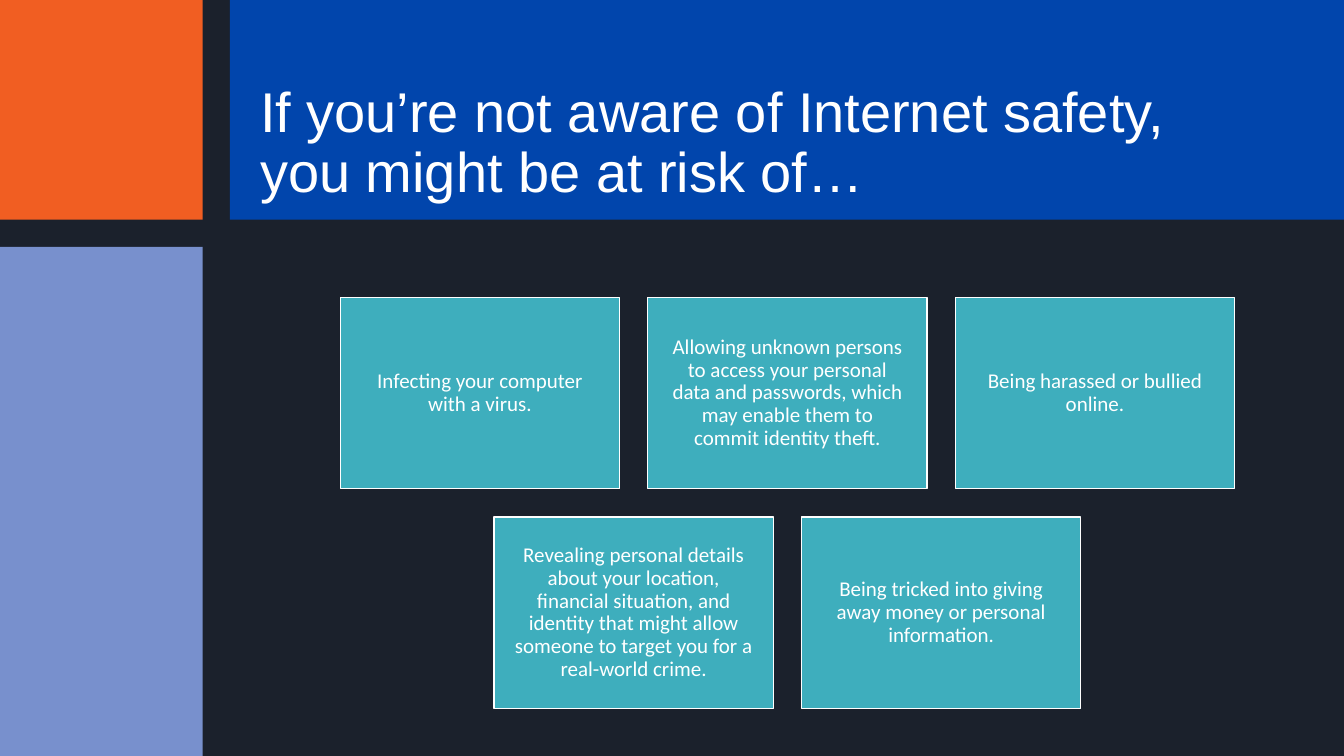
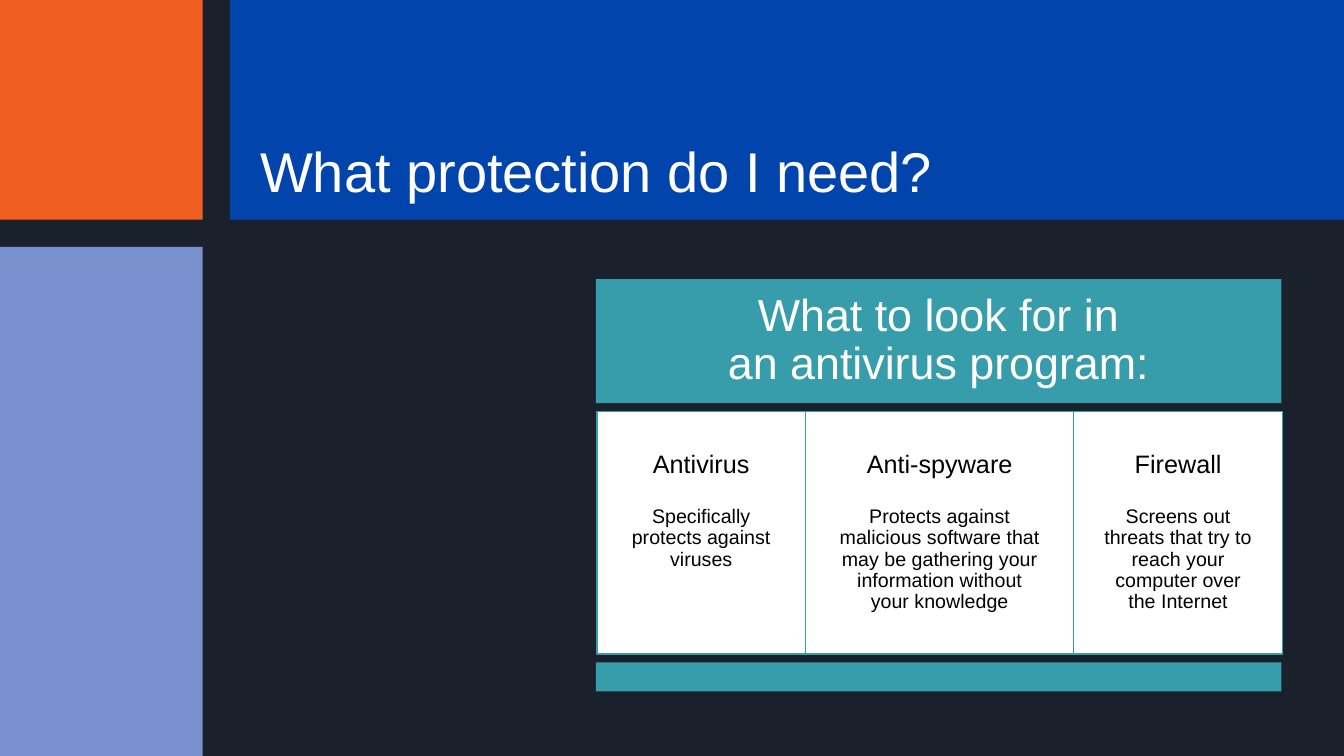
from pptx import Presentation
from pptx import util as u
from pptx.dml.color import RGBColor
from pptx.enum import shapes, text

COLORS = {
    "night": "1B212C",
    "blue": "0145AC",
    "orange": "F15E22",
    "lavender": "7890CD",
    "aqua": "3EAEBD",
    "teal": "379DAA",
    "white": "FFFFFF",
    "black": "000000",
}
HEADER_H = 2.18
BAND_GAP = 0.27
SIDE_W = 2.01
MAIN_X = SIDE_W + BAND_GAP


def color(name):
    return RGBColor.from_string(COLORS[name])


class Deck:
    def __init__(self, width, height):
        self.prs = Presentation()
        self.width, self.height = width, height
        self.prs.slide_width = u.Inches(width)
        self.prs.slide_height = u.Inches(height)
        self.slide = None

    def new_slide(self, title_lines):
        self.slide = self.prs.slides.add_slide(self.prs.slide_layouts[6])
        background = self.slide.background.fill
        background.solid()
        background.fore_color.rgb = color("night")
        side_top = HEADER_H + BAND_GAP
        self.block(MAIN_X, 0, self.width - MAIN_X, HEADER_H, "blue")
        self.block(0, 0, SIDE_W, HEADER_H, "orange")
        self.block(0, side_top, SIDE_W, self.height - side_top, "lavender")
        self.title(title_lines)

    def title(self, lines):
        height = 0.31 + 0.6 * len(lines)
        box = self.slide.shapes.add_textbox(
            u.Inches(MAIN_X), u.Inches(HEADER_H - height),
            u.Inches(10.65), u.Inches(height))
        frame = self.frame(box, (0.3, 0.15, 0.3, 0.15), text.MSO_ANCHOR.BOTTOM)
        self.add_lines(frame.paragraphs[0], lines, 40,
                       align=text.PP_ALIGN.LEFT)

    def block(self, x, y, w, h, fill, line=None):
        shape = self.slide.shapes.add_shape(
            shapes.MSO_SHAPE.RECTANGLE,
            u.Inches(x), u.Inches(y), u.Inches(w), u.Inches(h))
        shape.shadow.inherit = False
        shape.fill.solid()
        shape.fill.fore_color.rgb = color(fill)
        if line:
            shape.line.color.rgb = color(line)
            shape.line.width = u.Pt(1)
        else:
            shape.line.fill.background()
        return shape

    def frame(self, shape, insets, anchor):
        frame = shape.text_frame
        frame.word_wrap = True
        frame.vertical_anchor = anchor
        (frame.margin_left, frame.margin_top,
         frame.margin_right, frame.margin_bottom) = map(u.Inches, insets)
        return frame

    def add_lines(self, paragraph, lines, size, ink="white", font="Arial",
                  align=text.PP_ALIGN.CENTER):
        paragraph.alignment = align
        paragraph.line_spacing = 0.9
        for i, line in enumerate(lines):
            if i:
                paragraph.add_line_break()
            run = paragraph.add_run()
            run.text = line
            run.font.size = u.Pt(size)
            run.font.name = font
            run.font.color.rgb = color(ink)

    def risk_card(self, x, y, w, h, risk):
        card = self.block(x, y, w, h, "aqua", "white")
        frame = self.frame(card, (0.2, 0.1, 0.2, 0.1), text.MSO_ANCHOR.MIDDLE)
        self.add_lines(frame.paragraphs[0], [risk], 15, font="Calibri")

    def banner(self, x, y, w, h, lines):
        banner = self.block(x, y, w, h, "teal")
        frame = self.frame(banner, (0.13,) * 4, text.MSO_ANCHOR.MIDDLE)
        self.add_lines(frame.paragraphs[0], lines, 32)

    def feature(self, x, y, w, h, heading, detail):
        panel = self.block(x, y, w, h, "white", "teal")
        frame = self.frame(panel, (0.3, 0.4, 0.3, 0.2), text.MSO_ANCHOR.TOP)
        self.add_lines(frame.paragraphs[0], [heading], 18, "black")
        body = frame.add_paragraph()
        body.space_before = u.Pt(20)
        self.add_lines(body, [detail], 14, "black")


def risks_slide(deck):
    deck.new_slide(["If you’re not aware of Internet safety,",
                    "you might be at risk of…"])
    rows = [
        ["Infecting your computer with a virus.",
         "Allowing unknown persons to access your personal data and "
         "passwords, which may enable them to commit identity theft.",
         "Being harassed or bullied online."],
        ["Revealing personal details about your location, financial "
         "situation, and identity that might allow someone to target you "
         "for a real-world crime.",
         "Being tricked into giving away money or personal information."],
    ]
    card_w, card_h, gap, center = 2.77, 1.9, 0.28, 7.81
    for r, risks in enumerate(rows):
        row_w = len(risks) * (card_w + gap) - gap
        for c, risk in enumerate(risks):
            deck.risk_card(center - row_w / 2 + c * (card_w + gap),
                           2.95 + r * (card_h + gap), card_w, card_h, risk)


def protection_slide(deck):
    deck.new_slide(["What protection do I need?"])
    left, width = 5.91, 6.8
    deck.banner(left, 2.77, width, 1.23,
                ["What to look for in", "an antivirus program:"])
    features = [
        (2.07, "Antivirus", "Specifically protects against viruses"),
        (2.66, "Anti-spyware",
         "Protects against malicious software that may be gathering your "
         "information without your knowledge"),
        (2.07, "Firewall",
         "Screens out threats that try to reach your computer over "
         "the Internet"),
    ]
    x = left + 0.01
    for feature_w, heading, detail in features:
        deck.feature(x, 4.08, feature_w, 2.41, heading, detail)
        x += feature_w
    deck.block(left, 6.57, width, 0.29, "teal")


def main():
    deck = Deck(13.33, 7.5)
    risks_slide(deck)
    protection_slide(deck)
    deck.prs.save("out.pptx")


if __name__ == "__main__":
    main()
